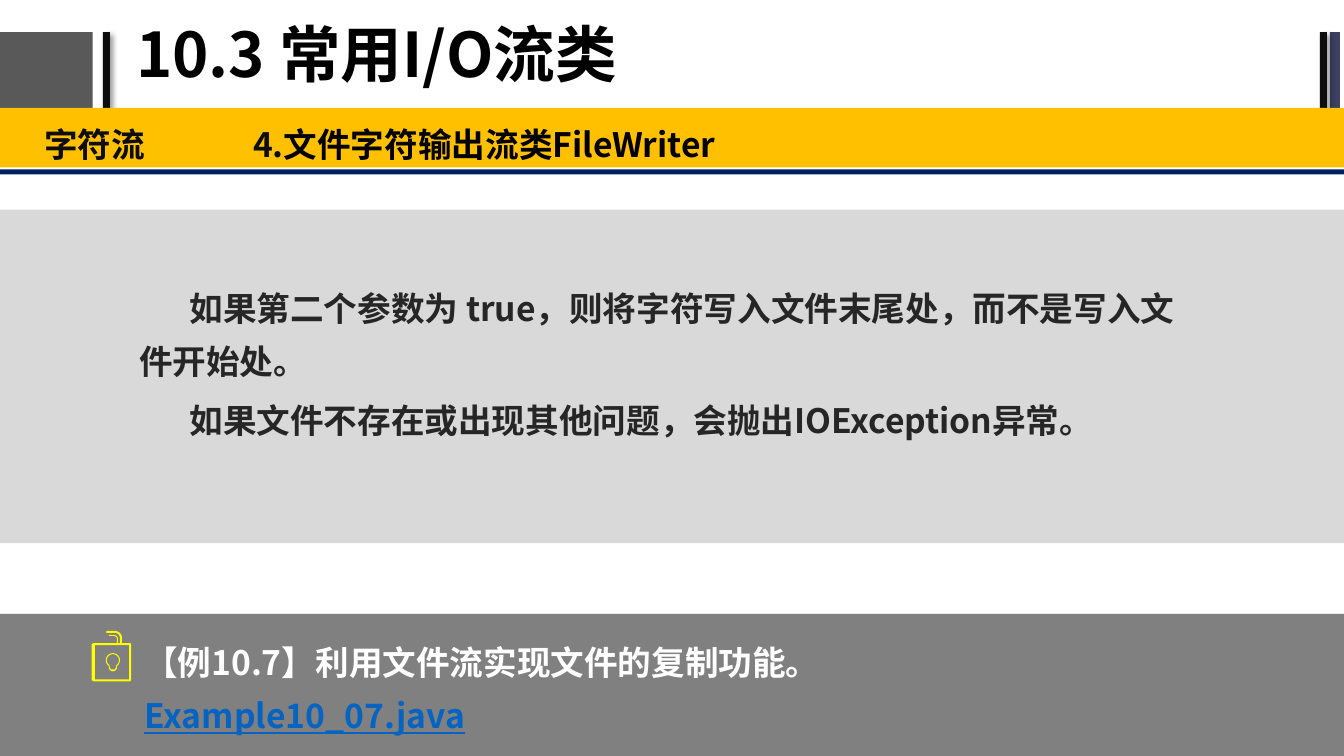
from dataclasses import dataclass
from math import cos, radians, sin

from lxml.etree import SubElement
from pptx import Presentation
from pptx.dml.color import RGBColor
from pptx.enum.shapes import MSO_SHAPE
from pptx.enum.text import MSO_ANCHOR, MSO_AUTO_SIZE, PP_ALIGN
from pptx.oxml.ns import qn
from pptx.slide import Slide
from pptx.text.text import TextFrame, _Paragraph, _Run
from pptx.util import Pt

PX = 9144  # EMU per px, 100 px to the inch
FONT = "Noto Sans CJK SC"
COLORS = {
    "black": "000000", "ink": "0D0D0D", "text": "262626", "slate": "595959",
    "indigo": "3B3F60", "navy": "002060", "amber": "FFC000", "pale": "D9D9D9",
    "gray": "808080", "white": "FFFFFF", "link": "0563C1", "yellow": "FFFF00",
}
Point = tuple[float, float]


@dataclass
class Bar:
    left: int
    top: int
    width: int
    height: int
    color: str
    shadow: bool = False


@dataclass
class Words:
    text: str
    color: str
    underline: bool = False


@dataclass
class Block:
    left: int
    top: int
    width: int
    height: int
    paragraphs: list[list[Words]]
    spacing: float
    before: int = 0
    indent: int = 0
    tab: int = 0


BARS = [
    Bar(-2, 32, 94, 76, "slate"),
    Bar(102, 32, 7, 76, "ink", shadow=True),
    Bar(1319, 32, 10, 76, "indigo"),
    Bar(1309, 32, 7, 76, "ink", shadow=True),
    Bar(-1, 208, 1335, 331, "pale"),
    Bar(0, 168, 1333, 5, "navy"),
    Bar(-4, 107, 1340, 59, "amber"),
    Bar(0, 609, 1338, 142, "gray"),
]
BLOCKS = [
    Block(31, 108, 1306, 58, [
        [Words("字符流\t4.", "ink"), Words("文件字符输出流类FileWriter", "black")],
    ], 1.2, tab=207),
    Block(125, 267, 1066, 224, [
        [Words("如果第二个参数为 true，则将字符写入文件末尾处，而不是写入文件开始处。", "text")],
        [Words("如果文件不存在或出现其他问题，会抛出IOException异常。", "text")],
    ], 1.3, before=5, indent=50),
    Block(130, 618, 1141, 125, [
        [Words("【例10.7】利用文件流实现文件的复制功能。", "white")],
        [Words("Example10_07.java", "link", underline=True)],
    ], 1.3),
]


def rgb(name: str) -> RGBColor:
    return RGBColor.from_string(COLORS[name])


def style_run(r: _Run, size: int, color: str) -> None:
    r.font.size, r.font.bold, r.font.name = Pt(size), True, FONT
    r.font.color.rgb = rgb(color)
    SubElement(r.font._element, qn("a:ea"), typeface=FONT)


def add_bar(s: Slide, bar: Bar) -> None:
    sp = s.shapes.add_shape(MSO_SHAPE.RECTANGLE, bar.left * PX, bar.top * PX,
                            bar.width * PX, bar.height * PX)
    sp.fill.solid()
    sp.fill.fore_color.rgb = rgb(bar.color)
    sp.line.fill.background()
    sp.shadow.inherit = False
    if bar.shadow:
        effects = sp._element.spPr.find(qn("a:effectLst"))
        outer = SubElement(effects, qn("a:outerShdw"), blurRad=str(Pt(4)),
                           dist=str(Pt(3)), dir=str(45 * 60000), algn="tl")
        shade = SubElement(outer, qn("a:srgbClr"), val=COLORS["black"])
        SubElement(shade, qn("a:alpha"), val="40000")


def fill_paragraph(p: _Paragraph, words: list[Words], block: Block) -> None:
    props = p._p.get_or_add_pPr()
    if block.indent:
        props.set("marL", "0")
        props.set("indent", str(block.indent * PX))
    if block.tab:
        tabs = SubElement(props, qn("a:tabLst"))
        SubElement(tabs, qn("a:tab"), pos=str(block.tab * PX), algn="l")
    p.line_spacing = block.spacing
    for word in words:
        r = p.add_run()
        r.text = word.text
        style_run(r, 24, word.color)
        if word.underline:
            r.font.underline = True


def add_block(s: Slide, block: Block) -> None:
    tf: TextFrame = s.shapes.add_textbox(block.left * PX, block.top * PX,
                                         block.width * PX, block.height * PX).text_frame
    tf.word_wrap = True
    tf.margin_left = tf.margin_right = 13 * PX
    tf.margin_top = tf.margin_bottom = 7 * PX
    for i, words in enumerate(block.paragraphs):
        p = tf.add_paragraph() if i else tf.paragraphs[0]
        fill_paragraph(p, words, block)
        if i and block.before:
            p.space_before = Pt(block.before)


def arc(x: int, y: int, radius: int, start: int, end: int, steps: int = 12) -> list[Point]:
    angles = [radians(start + (end - start) * i / steps) for i in range(steps + 1)]
    return [(x + radius * cos(a), y + radius * sin(a)) for a in angles]


def add_outline(s: Slide, contours: list[list[Point]], color: str) -> None:
    scaled = [[(x * PX, y * PX) for x, y in contour] for contour in contours]
    builder = s.shapes.build_freeform(*scaled[0][0], scale=1.0)
    for i, contour in enumerate(scaled):
        if i:
            builder.move_to(*contour[0])
        builder.add_line_segments(contour[1:], close=True)
    sp = builder.convert_to_shape()
    sp.fill.solid()
    sp.fill.fore_color.rgb = rgb(color)
    sp.line.fill.background()
    sp.shadow.inherit = False


def add_title(s: Slide) -> None:
    sp = s.shapes.title
    sp.left, sp.top, sp.width, sp.height = 125 * PX, 2 * PX, 847 * PX, 110 * PX
    tf = sp.text_frame
    tf.text = "10.3 常用I/O流类"
    tf.auto_size = MSO_AUTO_SIZE.NONE
    tf.vertical_anchor = MSO_ANCHOR.MIDDLE
    p = tf.paragraphs[0]
    p.alignment, p.line_spacing = PP_ALIGN.LEFT, 0.9
    style_run(p.runs[0], 44, "black")


def add_lock_icon(s: Slide) -> None:
    # Case with an open hook
    case = [(129, 638), (121, 638), *arc(114, 633, 7, 0, -90),
            (106, 626), (105, 627), (106, 628), *arc(114, 633, 5, -90, 0),
            (119, 638), (117, 638), *arc(113, 634, 4, 0, -90),
            (108, 630), (108, 631), *arc(113, 634, 3, -90, 0),
            (116, 638), (93, 638), (91, 639), (91, 675), (93, 676),
            (129, 676), (130, 675), (130, 639)]
    window = [(94, 640), (94, 674), (128, 674), (128, 640)]
    add_outline(s, [case, window], "yellow")
    # Bulb in the middle
    bulb = [*arc(112, 655, 7, 125, 415, 32), (116, 662), *arc(112, 662, 4, 0, 180)]
    glass = [*arc(112, 655, 6, 415, 125, 32), (109, 662), (110, 664), (114, 664), (115, 662)]
    add_outline(s, [bulb, glass], "yellow")


def main() -> None:
    prs = Presentation()
    prs.slide_width, prs.slide_height = 1333 * PX, 750 * PX
    s = prs.slides.add_slide(prs.slide_layouts[5])
    for bar in BARS:
        add_bar(s, bar)
    add_title(s)
    for block in BLOCKS:
        add_block(s, block)
    add_lock_icon(s)
    prs.save("out.pptx")


if __name__ == "__main__":
    main()
